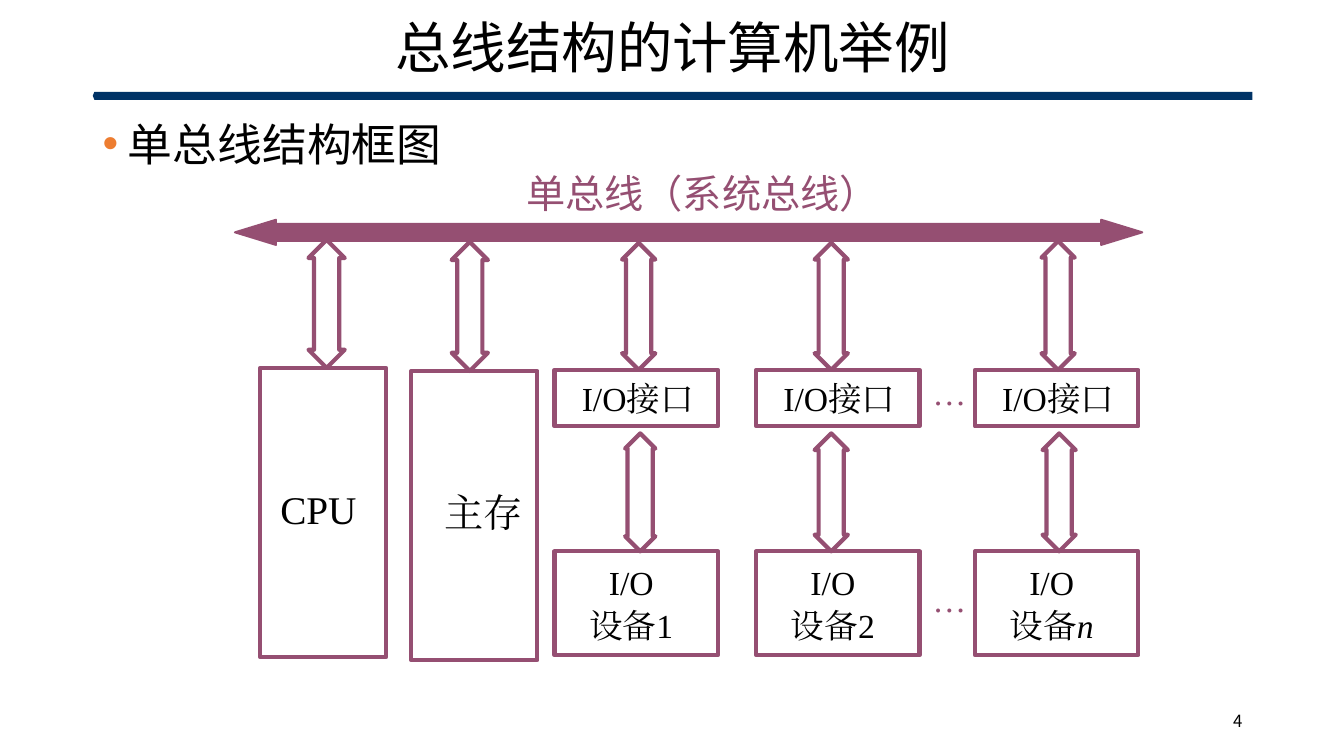
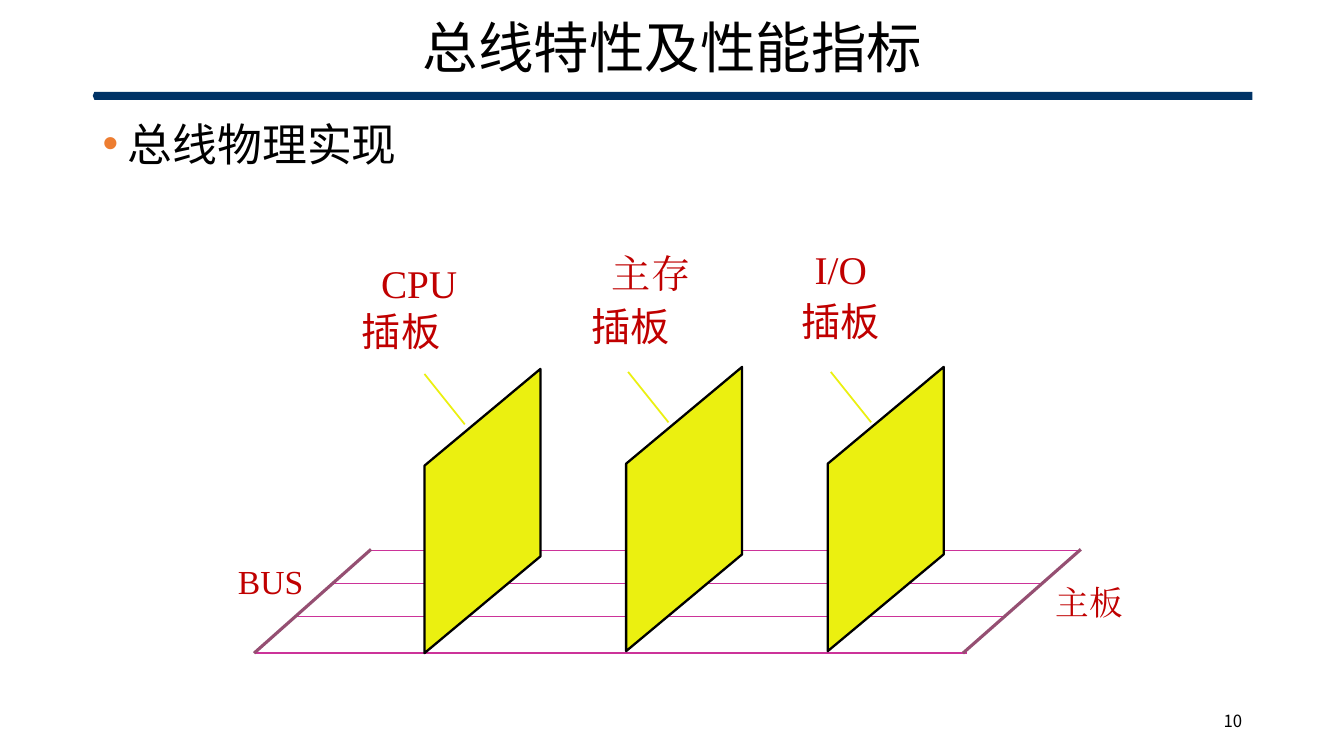
from lxml.etree import SubElement
from pptx import Presentation
from pptx.dml.color import RGBColor
from pptx.enum.shapes import MSO_CONNECTOR as Connector, MSO_SHAPE as Shape
from pptx.enum.text import MSO_ANCHOR as Anchor, PP_ALIGN as Align
from pptx.oxml.ns import qn
from pptx.util import Inches, Pt

BLACK = RGBColor(0x00, 0x00, 0x00)
NAVY = RGBColor(0x00, 0x33, 0x66)
PLUM = RGBColor(0x95, 0x4F, 0x72)
MAGENTA = RGBColor(0xCC, 0x33, 0x99)
RED = RGBColor(0xC0, 0x00, 0x00)
YELLOW = RGBColor(0xEB, 0xF0, 0x10)
BULLET_ORANGE = "ED7D31"

SANS = "Noto Sans CJK SC"
SERIF = "Times New Roman"
MARGIN, CONTENT_WIDTH = 0.92, 11.5
LABEL_HEIGHT = 0.5

BUS_SLIDE = {"title": "总线结构的计算机举例", "heading": "单总线结构框图", "number": "4"}
BOARD_SLIDE = {"title": "总线特性及性能指标", "heading": "总线物理实现", "number": "10"}

# name, left, top, text inset, arrow left, arrow top
UNITS = [
    ("CPU", 2.58, 3.65, 0.2, 3.06, 2.38),
    ("主存", 4.08, 3.68, 0.33, 4.48, 2.4),
]
# device number, box left, upper arrow left and top, lower arrow left and width
DEVICES = [
    ("1", 5.5, 6.17, 2.41, 6.2, 0.3),
    ("2", 7.5, 8.08, 2.41, 8.08, 0.33),
    ("n", 9.67, 10.33, 2.39, 10.34, 0.33),
]
UNIT_SIZE = (1.25, 2.87)
DEVICE_WIDTH = 1.62
PORT_TOP, PORT_HEIGHT = 3.67, 0.56
DEVICE_TOP, DEVICE_HEIGHT = 5.47, 1.03
LOWER_ARROW_TOP = 4.3
ARROW_HEAD = 0.25
DOTS_LEFT, DOTS_MIDDLES = 9.25, (3.89, 5.94)

# left, front bottom, name left and middle, caption left and middle, leader left
BOARDS = [
    ("CPU", 4.21, 6.48, 3.78, 2.81, 3.59, 3.28, 4.21),
    ("主存", 6.21, 6.46, 6.07, 2.71, 5.87, 3.23, 6.23),
    ("I/O", 8.21, 6.46, 8.08, 2.67, 7.95, 3.18, 8.24),
]
BOARD_DEPTH, BOARD_RISE, BOARD_HEIGHT = 1.15, 0.96, 1.86
LEADER_RUN, LEADER_DROP = 0.4, 0.5
# height on the slide, line width
BUS_WIRES = [(5.46, 0.75), (5.79, 0.75), (6.12, 0.75), (6.48, 1.63)]
WIRE_LEFT, WIRE_LENGTH, WIRE_SLOPE = 3.66, 7.05, 1.1
PLATE_EDGES = [(3.68, 2.52), (10.72, 9.55)]
EDGE_TOP, EDGE_BOTTOM = 5.45, 6.48


def inches(*lengths):
    return [Inches(round(length, 2)) for length in lengths]


def style_shape(shape, fill=None, line=None, width=3):
    shape.shadow.inherit = False
    if fill is None:
        shape.fill.background()
    else:
        shape.fill.solid()
        shape.fill.fore_color.rgb = fill
    if line is None:
        shape.line.fill.background()
    else:
        shape.line.color.rgb = line
        shape.line.width = Pt(width)


def add_preset(page, kind, box, adjustments=(), **style):
    shape = page.shapes.add_shape(kind, *inches(*box))
    for index, value in enumerate(adjustments):
        shape.adjustments[index] = value
    style_shape(shape, **style)
    return shape


def write(shape, paragraphs, size, font=SERIF, color=BLACK, align=Align.LEFT,
          insets=(0, 0, 0, 0), spacing=None, gap=0):
    """Fill a shape with paragraphs, each a list of (text, italic) spans."""
    frame = shape.text_frame
    left, top, right, bottom = inches(*insets)
    settings = {"word_wrap": True, "vertical_anchor": Anchor.MIDDLE,
                "margin_left": left, "margin_top": top,
                "margin_right": right, "margin_bottom": bottom}
    for name, value in settings.items():
        setattr(frame, name, value)
    for index, spans in enumerate(paragraphs):
        para = frame.add_paragraph() if index else frame.paragraphs[0]
        para.alignment = align
        if index:
            para.space_before = Pt(gap)
        if spacing:
            para.line_spacing = spacing
        for text, italic in spans:
            span = para.add_run()
            span.text = text
            for name, value in {"name": font, "size": Pt(size), "italic": italic}.items():
                setattr(span.font, name, value)
            span.font.color.rgb = color
    for properties in shape.element.iter(qn("a:rPr")):
        SubElement(properties, qn("a:ea"), typeface=font)
    return shape


def add_label(page, text, left, middle, width, size, height=LABEL_HEIGHT, **style):
    """Add one line of text centred vertically on middle."""
    box = page.shapes.add_textbox(*inches(left, middle - height / 2, width, height))
    return write(box, [[(text, False)]], size, **style)


def add_line(page, start, end, color, width):
    line = page.shapes.add_connector(Connector.STRAIGHT, *inches(*start, *end))
    line.line.color.rgb = color
    line.line.width = Pt(width)
    SubElement(line.element.spPr, qn("a:effectLst"))


def add_bullet(para):
    properties = para._p.get_or_add_pPr()
    properties.set("marL", str(Inches(0.25)))
    properties.set("indent", str(-Inches(0.25)))
    color = SubElement(properties, qn("a:buClr"))
    SubElement(color, qn("a:srgbClr"), val=BULLET_ORANGE)
    SubElement(properties, qn("a:buFont"), typeface="Arial")
    SubElement(properties, qn("a:buChar"), char="•")


def add_page(deck, content):
    page = deck.slides.add_slide(deck.slide_layouts[6])
    band = add_preset(page, Shape.PENTAGON, (MARGIN, 0.91, CONTENT_WIDTH, 0.08),
                      [0.2], fill=NAVY)
    band.rotation = 180
    add_label(page, content["title"], MARGIN, 0.5, CONTENT_WIDTH, 39.6, height=0.66,
              font=SANS, align=Align.CENTER, spacing=0.9)
    heading = add_label(page, content["heading"], MARGIN, 1.42, CONTENT_WIDTH, 32,
                        height=0.64, font=SANS, insets=(0.1, 0, 0.1, 0))
    add_bullet(heading.text_frame.paragraphs[0])
    add_label(page, content["number"], 9.42, 7.15, 3, 12, height=0.4, font=SANS,
              align=Align.RIGHT, insets=(0.1, 0.05, 0.1, 0.05))
    return page


def add_double_arrow(page, left, top, width, bottom):
    add_preset(page, Shape.UP_DOWN_ARROW, (left, top, width, bottom - top),
               [0.5, ARROW_HEAD / width], line=PLUM)


def draw_bus_diagram(page):
    add_label(page, "单总线（系统总线）", 5.22, 1.91, 3.7, 28, font=SANS, color=PLUM)
    add_preset(page, Shape.LEFT_RIGHT_ARROW, (2.33, 2.18, 9, 0.25), [0.68, 1.63],
               fill=PLUM, line=PLUM, width=1.38)
    for name, left, top, inset, arrow_left, arrow_top in UNITS:
        unit = add_preset(page, Shape.RECTANGLE, (left, top, *UNIT_SIZE), line=PLUM)
        write(unit, [[(name, False)]], 28, insets=(inset, 0, 0, 0.08))
        add_double_arrow(page, arrow_left, arrow_top, 0.36, top)
    for number, left, upper_left, upper_top, lower_left, lower_width in DEVICES:
        port = add_preset(page, Shape.RECTANGLE,
                          (left, PORT_TOP, DEVICE_WIDTH, PORT_HEIGHT), line=PLUM)
        write(port, [[("I/O接口", False)]], 24, insets=(0.27, 0, 0, 0))
        device = add_preset(page, Shape.RECTANGLE,
                            (left, DEVICE_TOP, DEVICE_WIDTH, DEVICE_HEIGHT), line=PLUM)
        write(device, [[("I/O", False)], [("设备", False), (number, number == "n")]], 24,
              align=Align.CENTER, insets=(0, 0, 0.1, 0), gap=2)
        add_double_arrow(page, upper_left, upper_top, 0.33, PORT_TOP)
        add_double_arrow(page, lower_left, LOWER_ARROW_TOP, lower_width, DEVICE_TOP)
    for middle in DOTS_MIDDLES:
        add_label(page, "…", DOTS_LEFT, middle, 0.42, 24, color=PLUM)


def add_board(page, left, bottom):
    right, front_top = left + BOARD_DEPTH, bottom - BOARD_HEIGHT
    corners = [(left, front_top), (right, front_top - BOARD_RISE),
               (right, bottom - BOARD_RISE), (left, bottom)]
    points = [inches(*corner) for corner in corners]
    outline = page.shapes.build_freeform(*points[0])
    outline.add_line_segments(points[1:], close=True)
    style_shape(outline.convert_to_shape(), fill=YELLOW, line=BLACK, width=1.63)


def draw_boards(page):
    for height, width in BUS_WIRES:
        left = WIRE_LEFT - (height - BUS_WIRES[0][0]) * WIRE_SLOPE
        add_line(page, (left, height), (left + WIRE_LENGTH, height), MAGENTA, width)
    for top_x, bottom_x in PLATE_EDGES:
        add_line(page, (top_x, EDGE_TOP), (bottom_x, EDGE_BOTTOM), PLUM, 2.25)
    add_label(page, "BUS", 2.36, 5.76, 0.8, 24, color=RED)
    add_label(page, "主板", 10.47, 5.97, 0.8, 24, color=RED)
    for name, left, bottom, name_left, name_middle, caption_left, caption_middle, leader in BOARDS:
        add_board(page, left, bottom)
        add_label(page, name, name_left, name_middle, 0.9, 28, color=RED)
        add_label(page, "插板", caption_left, caption_middle, 0.9, 28, font=SANS, color=RED)
        leader_top = bottom - BOARD_HEIGHT - BOARD_RISE + 0.05
        add_line(page, (leader, leader_top),
                 (leader + LEADER_RUN, leader_top + LEADER_DROP), YELLOW, 1.25)


def main():
    deck = Presentation()
    deck.slide_width, deck.slide_height = inches(13.33, 7.5)
    draw_bus_diagram(add_page(deck, BUS_SLIDE))
    draw_boards(add_page(deck, BOARD_SLIDE))
    deck.save("out.pptx")


if __name__ == "__main__":
    main()
